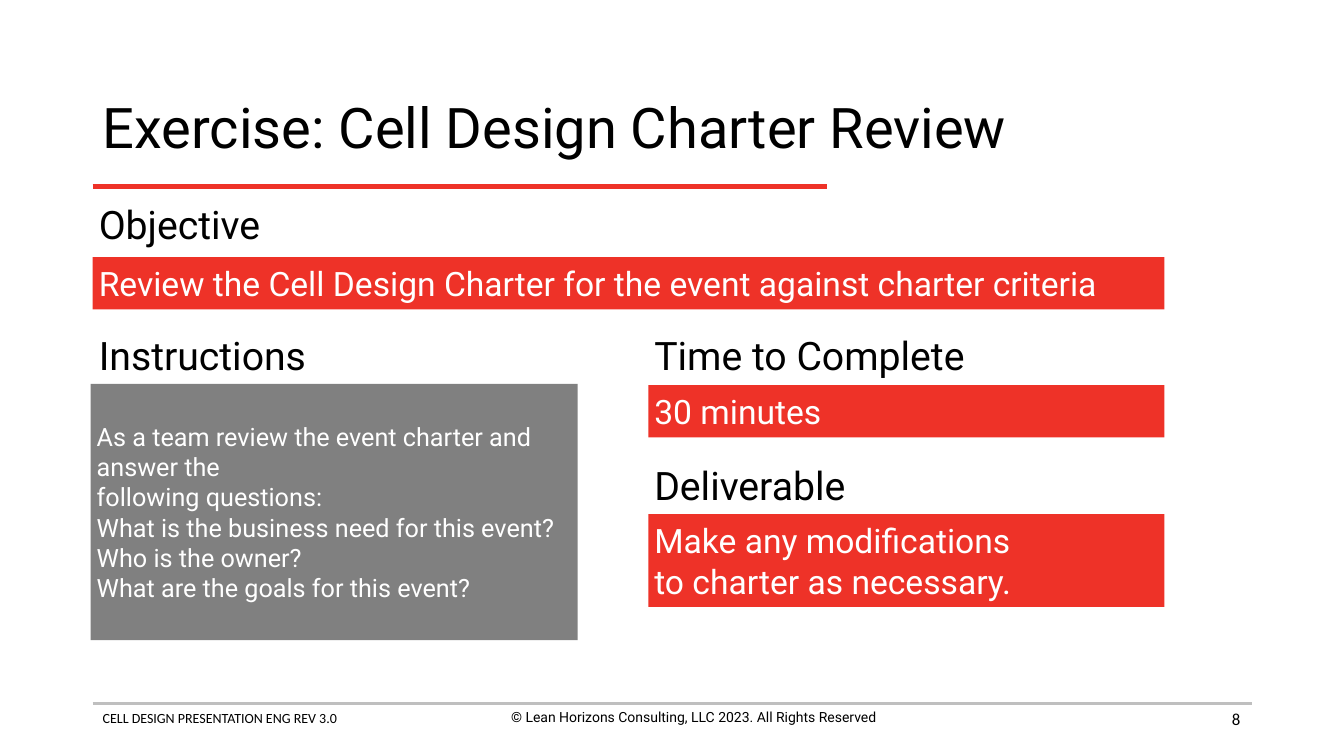
import pptx
import pptx.dml.color
import pptx.enum.shapes
import pptx.enum.text
import pptx.oxml.ns
import pptx.util
from lxml import etree

PX = 9144
RED, GREY, RULE_GREY, BLACK, WHITE = "EE3228", "808080", "BFBFBF", "000000", "FFFFFF"
ALIGN = pptx.enum.text.PP_ALIGN
ANCHOR = pptx.enum.text.MSO_ANCHOR


def color(value):
    return pptx.dml.color.RGBColor.from_string(value)


def write(shape, text, size, ink, font="Roboto", align=ALIGN.LEFT, anchor=ANCHOR.TOP, wrap=True, inset=None):
    frame = shape.text_frame
    frame.text = text
    frame.word_wrap = wrap
    frame.vertical_anchor = anchor
    if inset is not None:
        for side in ("left", "top", "right", "bottom"):
            setattr(frame, f"margin_{side}", inset * PX)
    for paragraph in frame.paragraphs:
        paragraph.alignment = align
        for run in paragraph.runs:
            for name, value in {"name": font, "size": pptx.util.Pt(size)}.items():
                setattr(run.font, name, value)
            run.font.color.rgb = color(ink)


deck = pptx.Presentation()
deck.slide_width = 1333 * PX
deck.slide_height = 750 * PX
slide = deck.slides.add_slide(deck.slide_layouts[5])
shapes = slide.shapes

for right, y, ink, width in [(1242, 698, RULE_GREY, 2), (820, 185, RED, 3)]:
    rule = shapes.add_connector(
        pptx.enum.shapes.MSO_CONNECTOR.STRAIGHT, 92 * PX, y * PX, right * PX, y * PX)
    rule.line.color.rgb = color(ink)
    rule.line.width = pptx.util.Pt(width)
    etree.SubElement(rule._element.spPr, pptx.oxml.ns.qn("a:effectLst"))

title = shapes.title
for name, value in {"left": 92, "top": 74, "width": 1150, "height": 110}.items():
    setattr(title, name, value * PX)
write(title, "Exercise: Cell Design Charter Review", 40, BLACK, anchor=ANCHOR.MIDDLE)
title.text_frame.auto_size = pptx.enum.text.MSO_AUTO_SIZE.NONE
title.text_frame.paragraphs[0].line_spacing = 0.9

footers = [
    (92, 699, 456, 44, "CELL DESIGN PRESENTATION ENG REV 3.0", 10, "Calibri", ALIGN.LEFT, ANCHOR.TOP),
    (460, 698, 456, 44, "© Lean Horizons Consulting, LLC 2023. All Rights Reserved", 10, "Roboto",
     ALIGN.CENTER, ANCHOR.TOP),
    (940, 693, 300, 40, "8", 12, "Calibri", ALIGN.RIGHT, ANCHOR.MIDDLE),
]
for left, top, width, height, text, size, font, align, anchor in footers:
    footer = shapes.add_textbox(left * PX, top * PX, width * PX, height * PX)
    write(footer, text, size, BLACK, font, align, anchor)

headings = [
    (92, 193, 175, "Objective"),
    (92, 323, 221, "Instructions"),
    (643, 323, 325, "Time to Complete"),
    (643, 452, 207, "Deliverable"),
]
for left, top, width, text in headings:
    heading = shapes.add_textbox(left * PX, top * PX, width * PX, 58 * PX)
    write(heading, text, 28, BLACK, wrap=False, inset=6)

instructions = "\n".join([
    "As a team review the event charter and answer the\vfollowing questions:",
    "What is the business need for this event?",
    "Who is the owner?",
    "What are the goals for this event?",
])
panels = [
    (92, 255, 1063, 52, RED, 24, "Review the Cell Design Charter for the event against charter criteria"),
    (90, 381, 483, 254, GREY, 18, instructions),
    (643, 382, 512, 52, RED, 24, "30 minutes"),
    (643, 510, 512, 92, RED, 24, "Make any modifications\vto charter as necessary."),
]
for left, top, width, height, fill, size, text in panels:
    panel = shapes.add_shape(
        pptx.enum.shapes.MSO_SHAPE.RECTANGLE, left * PX, top * PX, width * PX, height * PX)
    panel.shadow.inherit = False
    panel.fill.solid()
    panel.fill.fore_color.rgb = color(fill)
    panel.line.fill.background()
    write(panel, text, size, WHITE, anchor=ANCHOR.MIDDLE, inset=6)

deck.save("out.pptx")
